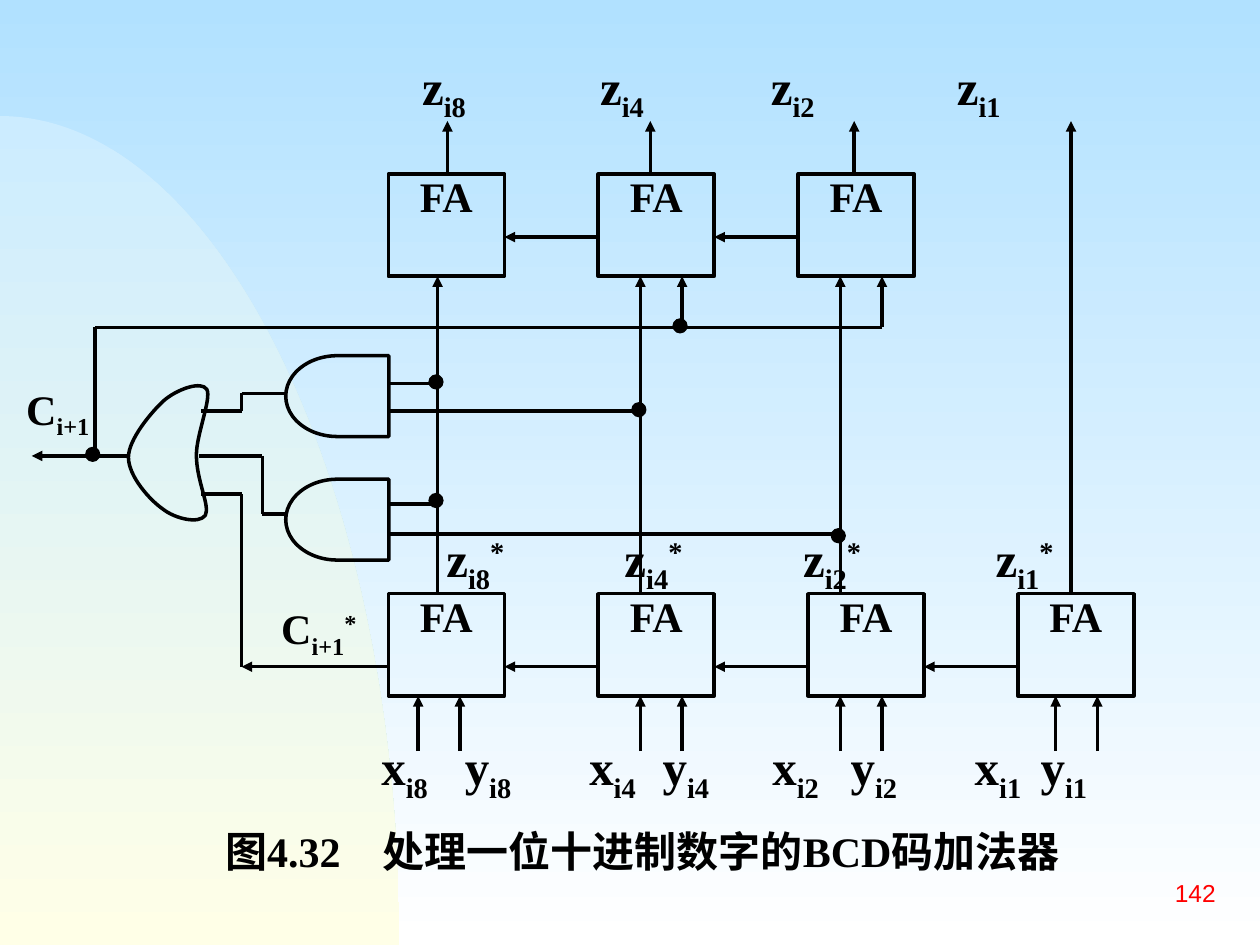
import lxml.etree
import pptx
import pptx.dml.color
import pptx.enum.shapes
import pptx.enum.text
import pptx.oxml.ns
import pptx.util

Cm = pptx.util.Cm
SHAPES = pptx.enum.shapes.MSO_SHAPE
ALIGN = pptx.enum.text.PP_ALIGN
ANCHOR = pptx.enum.text.MSO_ANCHOR
BLACK = "000000"
SERIF = "Times New Roman"
ADDER_WIDTH, ADDER_HEIGHT = 2.34, 2.06
ADDER_PITCH = 4.23
INPUT_GAP = 0.84
BASELINES = (0, -25000, 30000)


def colour(hex_string):
    return pptx.dml.color.RGBColor.from_string(hex_string)


def add_xml(parent, tag, **attributes):
    return lxml.etree.SubElement(parent, pptx.oxml.ns.qn(tag), **attributes)


def fade_down(fill, top_colour, bottom_colour):
    fill.gradient()
    fill.gradient_angle = 270
    for stop, position, shade in zip(fill.gradient_stops, (0, 1), (top_colour, bottom_colour)):
        stop.position = position
        stop.color.rgb = colour(shade)


def outline(shape, width=2):
    shape.shadow.inherit = False
    shape.line.color.rgb = colour(BLACK)
    shape.line.width = pptx.util.Pt(width)


def set_font(paragraph, size, name=SERIF, shade=BLACK, bold=True):
    font = paragraph.font
    font.size = pptx.util.Pt(size)
    font.name = name
    font.bold = bold
    font.color.rgb = colour(shade)


def add_wire(slide, points, arrow=False):
    for start, end in zip(points, points[1:]):
        wire = slide.shapes.add_connector(
            pptx.enum.shapes.MSO_CONNECTOR.STRAIGHT, *(Cm(v) for v in (*start, *end)))
        wire.line.color.rgb = colour(BLACK)
        wire.line.width = pptx.util.Pt(2)
        add_xml(wire._element.spPr, "a:effectLst")
    if arrow:
        add_xml(wire.line._get_or_add_ln(), "a:tailEnd", type="triangle")


def add_curved_outline(slide, points):
    corners = [(Cm(x), Cm(y)) for x, y in points]
    builder = slide.shapes.build_freeform(*corners[0])
    builder.add_line_segments(corners[1:], close=True)
    shape = builder.convert_to_shape()
    segments = list(shape._element.iter(pptx.oxml.ns.qn("a:lnTo")))
    for first in range(0, len(segments) - 2, 3):
        curve, *others = segments[first:first + 3]
        bezier = lxml.etree.Element(pptx.oxml.ns.qn("a:cubicBezTo"))
        curve.addprevious(bezier)
        for segment in (curve, *others):
            bezier.append(segment[0])
            segment.getparent().remove(segment)
    return shape


def add_text(slide, left, top, width, height, wrap=True):
    frame = slide.shapes.add_textbox(Cm(left), Cm(top), Cm(width), Cm(height)).text_frame
    frame.word_wrap = wrap
    return frame


def set_tabs(paragraph, stops):
    tab_list = add_xml(paragraph._p.get_or_add_pPr(), "a:tabLst")
    for stop in stops:
        add_xml(tab_list, "a:tab", pos=str(Cm(stop)), algn="l")


def add_signals(slide, left, top, width, height, signals, size, stops=()):
    paragraph = add_text(slide, left, top, width, height, bool(stops)).paragraphs[0]
    if stops:
        set_tabs(paragraph, stops)
    for signal in signals:
        for position, (part, baseline) in enumerate(zip(signal, BASELINES)):
            run = paragraph.add_run()
            run.text = "\t" + part if stops and position == 0 else part
            if baseline:
                run._r.get_or_add_rPr().set("baseline", str(baseline))
    set_font(paragraph, size)


def add_backdrop(slide, left, top, width, height):
    fade_down(slide.background.fill, "B1E1FF", "FFFFFF")
    bottom = top + height
    hill = add_curved_outline(slide, [
        (left, top), (left + 0.55 * width, top), (left + width, top + 0.45 * height),
        (left + width, bottom), (left, bottom)])
    hill.shadow.inherit = False
    hill.line.fill.background()
    fade_down(hill.fill, "CCECFF", "FFFFE7")
    slide.slide_layout.slide_master.shapes._spTree.insert(2, hill._element)


def add_adders(slide, lefts, top, carry):
    for left in lefts:
        adder = slide.shapes.add_shape(
            SHAPES.RECTANGLE, Cm(left), Cm(top), Cm(ADDER_WIDTH), Cm(ADDER_HEIGHT))
        adder.fill.background()
        outline(adder)
        adder.text_frame.vertical_anchor = ANCHOR.TOP
        paragraph = adder.text_frame.paragraphs[0]
        paragraph.text = "FA"
        paragraph.alignment = ALIGN.CENTER
        paragraph.line_spacing = 0.8
        set_font(paragraph, 24)
    for receiver, sender in zip(lefts, lefts[1:]):
        add_wire(slide, [(sender, top + carry), (receiver + ADDER_WIDTH, top + carry)], True)


def add_correction_row(slide, left, top):
    lefts = [left, left + ADDER_PITCH, left + 8.26]
    add_adders(slide, lefts, top, 1.27)
    for adder_left, offset in zip(lefts, (1.19, 1.05, 1.13)):
        x = adder_left + offset
        add_wire(slide, [(x, top), (x, top - 1.07)], True)
    bottom = top + ADDER_HEIGHT
    for x in (5.92, 9.95):
        add_wire(slide, [(left + x, bottom + 1.03), (left + x, bottom)], True)
    add_signals(slide, left - 2.54, top - 2.5, 17.58, 1.6,
                [("z", f"i{weight}") for weight in (8, 4, 2, 1)], 28, (2.97, 6.56, 10, 13.75))


def add_sum_row(slide, left, top):
    lefts = [left + ADDER_PITCH * column for column in range(4)]
    add_adders(slide, lefts, top, 1.47)
    bottom = top + ADDER_HEIGHT
    for adder_left, offset in zip(lefts, (0.6, 0.85, 0.65, 0.76)):
        for x in (adder_left + offset, adder_left + offset + INPUT_GAP):
            add_wire(slide, [(x, bottom + 1.11), (x, bottom)], True)
    for x, rise in ((0.99, 6.4), (5.08, 6.4), (9.11, 6.4), (13.76, 9.53)):
        add_wire(slide, [(left + x, top), (left + x, top - rise)], True)
    add_signals(slide, left - 0.08, top - 1.45, 16.13, 1.6,
                [("z", f"i{weight}", "*") for weight in (8, 4, 2, 1)], 28,
                (1, 4.59, 8.19, 12.07))
    add_signals(slide, left - 2.6, top + 2.76, 19.53, 1.6,
                [(name, f"i{weight}") for weight in (8, 4, 2, 1) for name in "xy"], 28,
                (2.21, 3.89, 6.4, 7.88, 10.09, 11.67, 14.17, 15.5))


def add_carry_logic(slide, left, top):
    def place(points):
        return [(left + x, top + y) for x, y in points]

    or_gate = add_curved_outline(slide, place([
        (3.53, 1.25), (3.63, 1.43), (3.32, 2.16), (3.32, 2.57), (3.32, 3.1), (3.6, 3.59),
        (3.5, 3.79), (3.37, 3.97), (2.89, 3.86), (2.64, 3.66), (2.38, 3.48), (1.95, 3),
        (1.95, 2.62), (1.95, 2.26), (2.41, 1.71), (2.66, 1.48), (2.92, 1.25), (3.42, 1.07),
        (3.53, 1.25)]))
    or_gate.fill.background()
    outline(or_gate)
    for x, y in place([(5.12, 0.57), (5.12, 3.06)]):
        and_gate = slide.shapes.add_shape(
            SHAPES.FLOWCHART_DELAY, Cm(x), Cm(y), Cm(2.08), Cm(1.63))
        and_gate.rotation = 180
        and_gate.fill.background()
        outline(and_gate)
    for y, tap in ((1.13, 8.18), (1.69, 12.27), (3.56, 8.18), (4.16, 16.3)):
        add_wire(slide, place([(7.19, y), (tap, y)]))
    add_wire(slide, place([(17.14, 0), (1.27, 0), (1.27, 2.59)]))
    add_wire(slide, place([(1.95, 2.59), (0, 2.59)]), True)
    add_wire(slide, place([(7.19, 6.84), (4.23, 6.84)]), True)
    add_wire(slide, place([(4.23, 6.84), (4.23, 3.36), (3.42, 3.36)]))
    add_wire(slide, place([(3.37, 2.59), (4.65, 2.59), (4.65, 3.76), (5.12, 3.76)]))
    add_wire(slide, place([(3.42, 1.69), (4.23, 1.69), (4.23, 1.33), (5.12, 1.33)]))
    for x, y in place([(8.15, 1.1), (8.15, 3.49), (12.24, 1.66), (16.26, 4.2),
                       (13.07, -0.03), (1.23, 2.56)]):
        junction = slide.shapes.add_shape(
            SHAPES.OVAL, Cm(x - 0.14), Cm(y - 0.14), Cm(0.28), Cm(0.28))
        junction.fill.solid()
        junction.fill.fore_color.rgb = colour(BLACK)
        outline(junction, 0.75)
    add_signals(slide, left - 0.36, top + 1, 1.78, 1.42, [("C", "i+1")], 24)
    add_signals(slide, left + 4.78, top + 5.43, 2.24, 1.42, [("C", "i+1", "*")], 24)


def add_caption(slide, left, top, width, height):
    caption = add_text(slide, left, top, width, height).paragraphs[0]
    set_tabs(caption, [3.18])
    caption.add_run().text = "图4.32\t处理一位十进制数字的BCD码加法器"
    set_font(caption, 24)


def add_page_number(slide, left, top, width, height):
    frame = add_text(slide, left, top, width, height)
    frame.vertical_anchor = ANCHOR.MIDDLE
    number = frame.paragraphs[0]
    number.text = "142"
    number.alignment = ALIGN.RIGHT
    set_font(number, 14, "Arial", "FF0000", False)


def main():
    deck = pptx.Presentation()
    deck.slide_width, deck.slide_height = Cm(25.4), Cm(19.05)
    slide = deck.slides.add_slide(deck.slide_layouts[6])
    add_backdrop(slide, 0, 2.34, 8.05, 16.71)
    add_caption(slide, 4.29, 16.51, 17.8, 1.27)
    add_carry_logic(slide, 0.64, 6.6)
    add_correction_row(slide, 7.83, 3.51)
    add_sum_row(slide, 7.83, 11.97)
    add_page_number(slide, 19.48, 17.36, 5.28, 1.27)
    deck.save("out.pptx")


if __name__ == "__main__":
    main()
